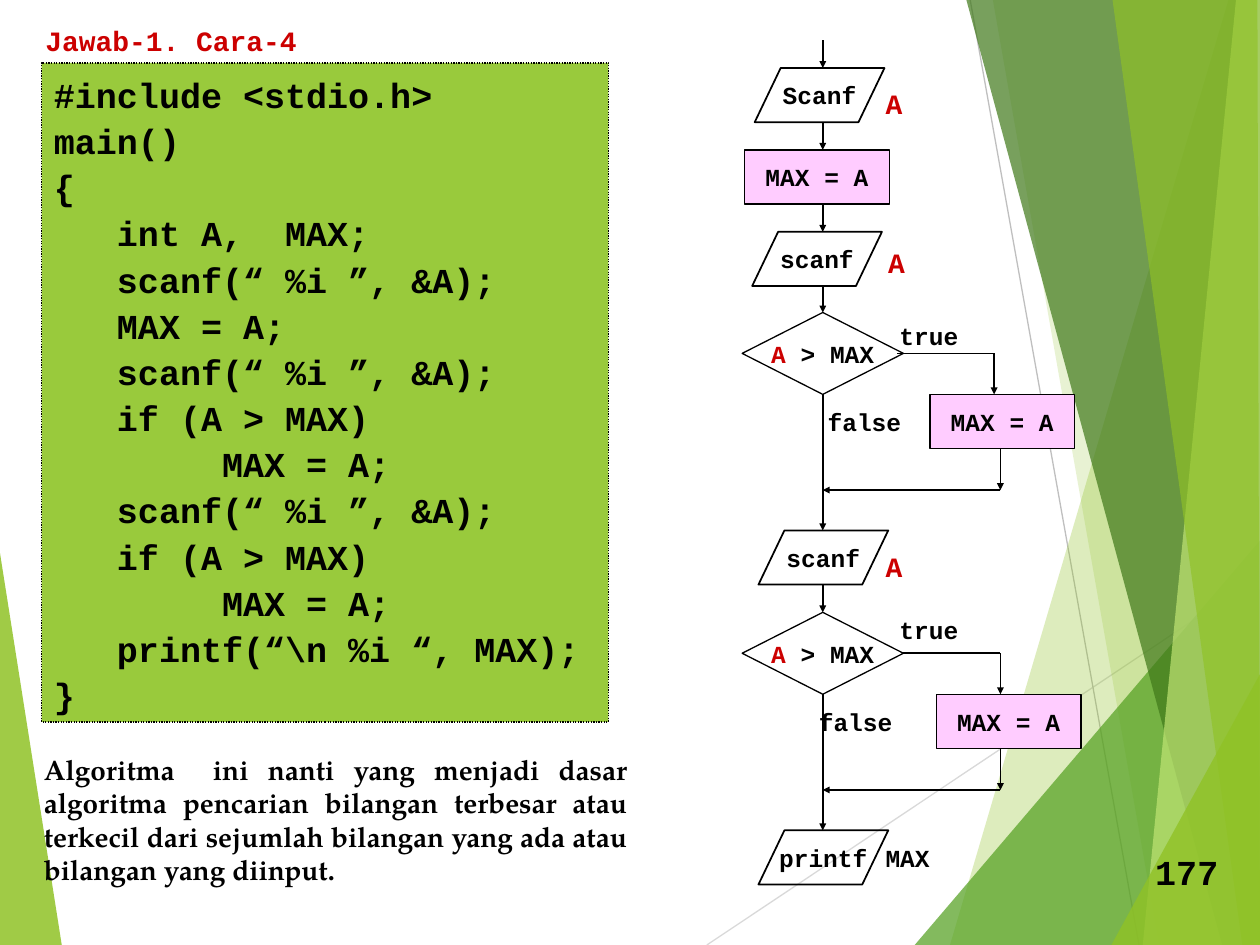
"""Build the slide that pairs a C program for the largest input with its flowchart."""
import pptx
import pptx.dml.color
import pptx.enum.dml
import pptx.enum.shapes
import pptx.enum.text
import pptx.oxml
import pptx.oxml.ns
import pptx.util

RGB = pptx.dml.color.RGBColor
Inches = pptx.util.Inches
Pt = pptx.util.Pt
SHAPE = pptx.enum.shapes.MSO_SHAPE
ALIGN = pptx.enum.text.PP_ALIGN
ANCHOR = pptx.enum.text.MSO_ANCHOR
FIT = pptx.enum.text.MSO_AUTO_SIZE

BLACK = RGB(0x00, 0x00, 0x00)
RED = RGB(0xCC, 0x00, 0x00)
PINK = RGB(0xFF, 0xCC, 0xFF)
CODE_GREEN = RGB(0x99, 0xCA, 0x3C)
LIME = RGB(0x90, 0xC2, 0x26)
LEAF = RGB(0x54, 0xA0, 0x21)
FOREST = RGB(0x3F, 0x78, 0x19)
PALE_LIME = RGB(0xC0, 0xE4, 0x74)
LIGHT_GREY = RGB(0xD9, 0xD9, 0xD9)
GREY = RGB(0xBF, 0xBF, 0xBF)
MONO = "Courier New"
SERIF = "TeX Gyre Pagella"

HEADING = "Jawab-1. Cara-4"
CODE = """#include <stdio.h>
main()
{
   int A,  MAX;
   scanf(“ %i ”, &A);
   MAX = A;
   scanf(“ %i ”, &A);
   if (A > MAX)
        MAX = A;
   scanf(“ %i ”, &A);
   if (A > MAX)
        MAX = A;
   printf(“\\n %i “, MAX);
}"""
REMARK = ("Algoritma  ini nanti yang menjadi dasar algoritma pencarian bilangan terbesar "
          "atau terkecil dari sejumlah bilangan yang ada atau bilangan yang diinput.")
PAGE = "177"

LEFT_FACET = (LIME, 85, [(0, 4.39), (0.49, 7.5), (0, 7.5)])
RAYS = [(LIGHT_GREY, (5.61, 7.5), (10, 4.57)), (GREY, (7.7, 0), (9.04, 7.5))]
RIGHT_FACETS = [
    (LIME, 30, [(9.75, 0), (7.54, 7.5), (10, 7.5), (10, 0)]),
    (LIME, 20, [(7.88, 0), (9.2, 7.5), (10, 7.5), (10, 0)]),
    (LEAF, 72, [(7.26, 7.5), (10, 4.29), (10, 7.5)]),
    (FOREST, 70, [(7.67, 0), (9.7, 7.5), (10, 7.5), (10, 0)]),
    (PALE_LIME, 70, [(9.81, 0), (9.07, 7.5), (10, 7.5), (10, 0)]),
    (LIME, 65, [(8.83, 0), (9.86, 7.5), (10, 7.5), (9.98, 0)]),
    (LIME, 80, [(8.82, 7.5), (10, 5.35), (10, 7.5)]),
]

AXIS = 6.53
RETURN_X = 7.94
STEP_H, DATA_W, PROCESS_W = 0.43, 1.03, 1.15
DECISION_W, DECISION_H = 1.28, 0.65
DATA_STEPS = [("Scanf", 5.99, 0.54), ("scanf", 5.97, 1.84),
              ("scanf", 6.02, 4.21), ("printf", 6.02, 6.59)]
VARIABLES = [("A", 6.93, 0.64), ("A", 6.95, 1.9), ("A", 6.93, 4.31)]
FLOW = [(0.32, 0.54), (0.97, 1.19), (1.62, 1.84), (2.27, 2.48), (4.64, 4.86)]
BRANCHES = [
    {"top": 2.48, "process": 7.38, "exit": 7.12, "drop": 7.89,
     "true": (7.04, 2.5), "false": (6.47, 3.18)},
    {"top": 4.86, "process": 7.43, "exit": 7.17, "drop": 7.94,
     "true": (7.04, 4.83), "false": (6.4, 5.56)},
]


def write(shape, lines, size, color=BLACK, font=MONO, align=ALIGN.LEFT,
          anchor=ANCHOR.TOP, wrap=False, fit=FIT.NONE, spacing=None):
    """Fill a shape with bold lines; a line is a list of (text, colour) or a string."""
    frame = shape.text_frame
    frame.word_wrap, frame.auto_size, frame.vertical_anchor = wrap, fit, anchor
    for index, line in enumerate(lines):
        paragraph = frame.add_paragraph() if index else frame.paragraphs[0]
        paragraph.alignment, paragraph.line_spacing = align, spacing
        paragraph.font.name, paragraph.font.size = font, Pt(size)
        paragraph.font.bold, paragraph.font.color.rgb = True, color
        for text, tint in [(line, color)] if isinstance(line, str) else line:
            run = paragraph.add_run()
            run.text = text
            if tint != color:
                run.font.color.rgb = tint


def place(shape, left, top, width, height):
    shape.left, shape.top = Inches(left), Inches(top)
    shape.width, shape.height = Inches(width), Inches(height)


def label(slide, text, left, top, width, height, size=14, **style):
    box = slide.shapes.add_textbox(*map(Inches, (left, top, width, height)))
    write(box, [text], size, fit=FIT.SHAPE_TO_FIT_TEXT, **style)


def block(slide, kind, left, top, width, height, fill=None, weight=0.75):
    shape = slide.shapes.add_shape(kind, *map(Inches, (left, top, width, height)))
    shape.shadow.inherit = False
    if fill is None:
        shape.fill.background()
    else:
        shape.fill.solid()
        shape.fill.fore_color.rgb = fill
    shape.line.color.rgb, shape.line.width = BLACK, Pt(weight)
    return shape


def step(slide, text, *where, **style):
    write(block(slide, *where, **style), [text], 14, align=ALIGN.CENTER, anchor=ANCHOR.MIDDLE)


def process(slide, left, top):
    step(slide, "MAX = A", SHAPE.RECTANGLE, left, top, PROCESS_W, STEP_H, fill=PINK)


def link(slide, start, end, color=BLACK, weight=1, arrow=True):
    line = slide.shapes.add_connector(pptx.enum.shapes.MSO_CONNECTOR.STRAIGHT,
                                      *map(Inches, start + end))
    line.line.color.rgb, line.line.width = color, Pt(weight)
    if arrow:
        tail = pptx.oxml.parse_xml(
            f'<a:tailEnd {pptx.oxml.ns.nsdecls("a")} type="triangle" w="sm" len="sm"/>')
        line.line._get_or_add_ln().append(tail)
    line._element.spPr.append(
        pptx.oxml.parse_xml(f'<a:effectLst {pptx.oxml.ns.nsdecls("a")}/>'))


def facet(slide, color, opacity, corners):
    points = [(Inches(x), Inches(y)) for x, y in corners]
    builder = slide.shapes.build_freeform(*points[0])
    builder.add_line_segments(points[1:])
    shape = builder.convert_to_shape()
    shape.shadow.inherit = False
    shape.fill.solid()
    shape.fill.fore_color.rgb = color
    shape.line.fill.background()
    tint = shape._element.spPr.find(".//" + pptx.oxml.ns.qn("a:srgbClr"))
    tint.append(pptx.oxml.parse_xml(
        f'<a:alpha {pptx.oxml.ns.nsdecls("a")} val="{opacity * 1000}"/>'))


def backdrop(slide):
    facet(slide, *LEFT_FACET)
    for color, start, end in RAYS:
        link(slide, start, end, color, 0.75, arrow=False)
    for parts in RIGHT_FACETS:
        facet(slide, *parts)


def branch(slide, parts):
    top = parts["top"]
    middle, bottom = top + DECISION_H / 2, top + DECISION_H
    rejoin = bottom + STEP_H + 0.33
    step(slide, [("A", RED), (" > MAX", BLACK)], SHAPE.FLOWCHART_DECISION,
         AXIS - DECISION_W / 2, top, DECISION_W, DECISION_H)
    process(slide, parts["process"], bottom)
    link(slide, (parts["exit"], middle), (parts["drop"], middle), arrow=False)
    link(slide, (parts["drop"], middle), (parts["drop"], bottom))
    link(slide, (RETURN_X, bottom + STEP_H), (RETURN_X, rejoin))
    link(slide, (RETURN_X, rejoin), (AXIS, rejoin))
    link(slide, (AXIS, bottom), (AXIS, bottom + 1.08))
    label(slide, "true", *parts["true"], 0.7, 0.34)
    label(slide, "false", *parts["false"], 0.85, 0.34)


def flowchart(slide):
    for text, left, top in DATA_STEPS:
        step(slide, text, SHAPE.FLOWCHART_DATA, left, top, DATA_W, STEP_H, weight=1)
    process(slide, 5.91, 1.19)
    for start, end in FLOW:
        link(slide, (AXIS, start), (AXIS, end))
    for parts in BRANCHES:
        branch(slide, parts)
    for text, left, top in VARIABLES:
        label(slide, text, left, top, 0.35, 0.37, 16, color=RED)
    label(slide, "MAX", 6.93, 6.64, 0.6, 0.34)


def main():
    deck = pptx.Presentation()
    deck.slide_width, deck.slide_height = Inches(10), Inches(7.5)
    slide = deck.slides.add_slide(deck.slide_layouts[5])
    backdrop(slide)
    heading = slide.shapes.title
    place(heading, 0.26, 0.14, 2.5, 0.37)
    write(heading, [HEADING], 16, RED, wrap=True)
    listing = block(slide, SHAPE.RECTANGLE, 0.33, 0.5, 4.5, 5.23, fill=CODE_GREEN)
    listing.line.dash_style = pptx.enum.dml.MSO_LINE.ROUND_DOT
    write(listing, CODE.split("\n"), 20, wrap=True, spacing=1.1)
    flowchart(slide)
    label(slide, REMARK, 0.25, 5.92, 4.83, 1.17, 16,
          font=SERIF, align=ALIGN.JUSTIFY, wrap=True)
    label(slide, PAGE, 9.07, 6.7, 0.72, 0.44, 20)
    deck.save("out.pptx")


if __name__ == "__main__":
    main()
